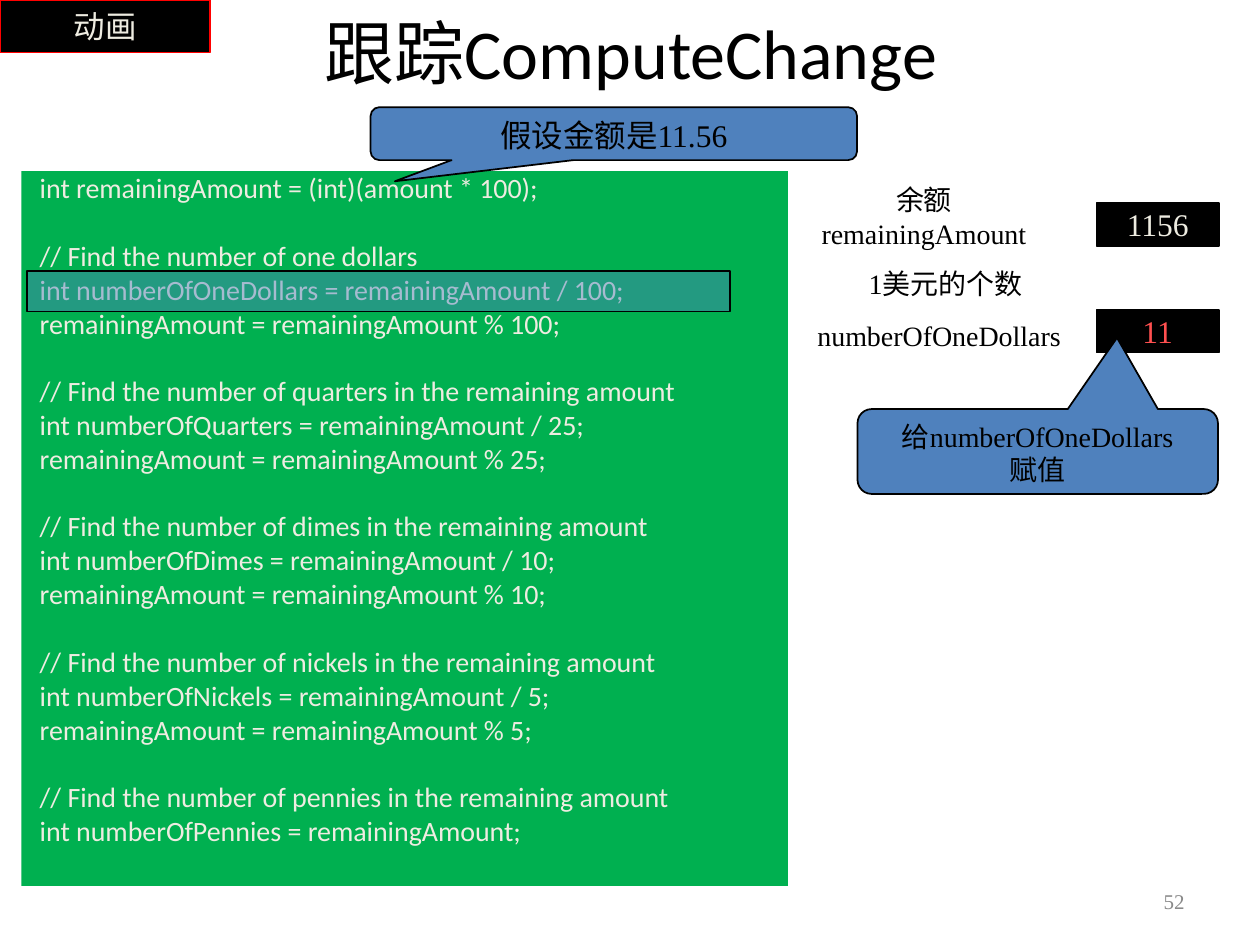
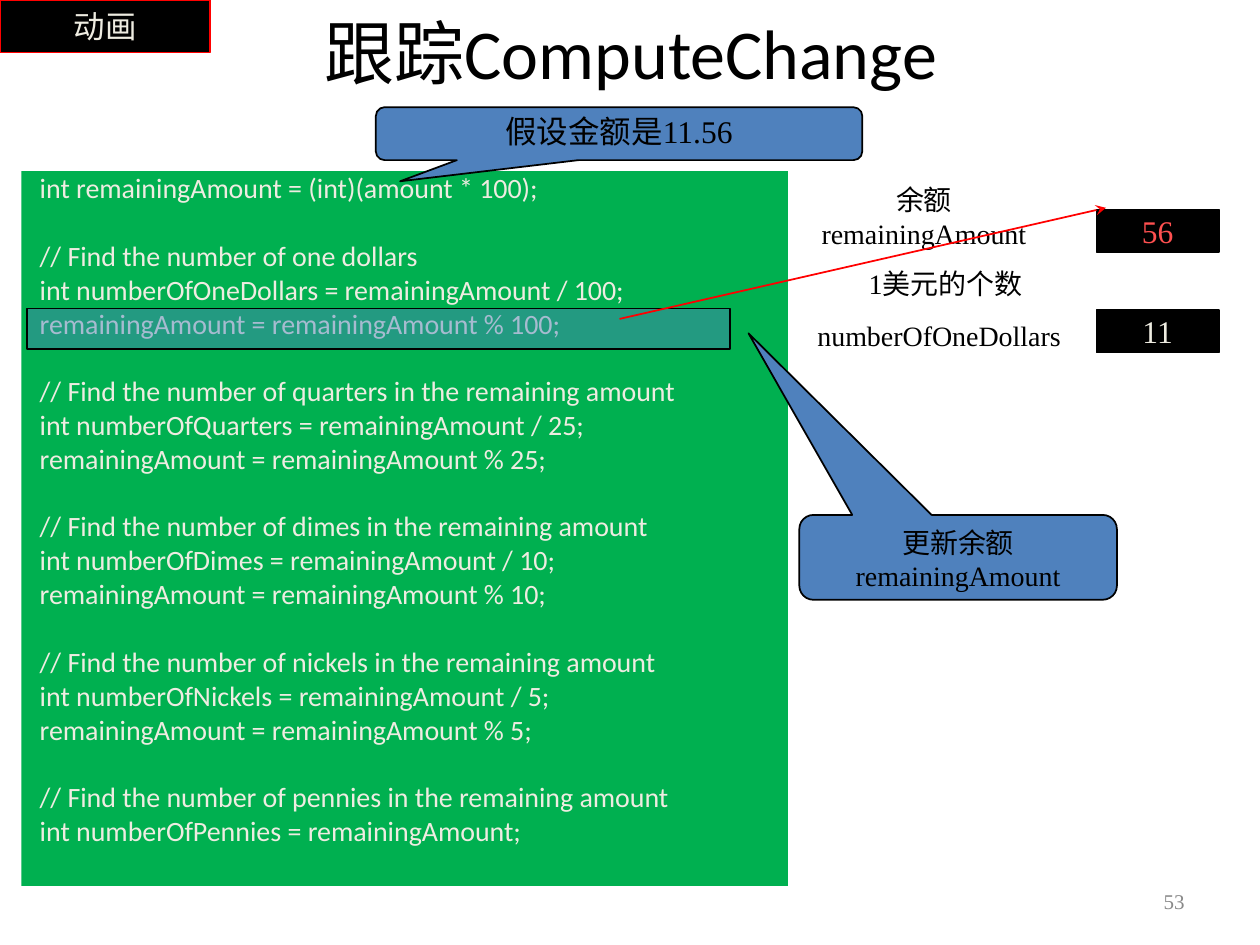
import pptx
import pptx.util
import pptx.dml.color
import pptx.enum.shapes
import pptx.enum.text
import pptx.oxml.ns
import lxml.etree

Pt = pptx.util.Pt
RGBColor = pptx.dml.color.RGBColor
Shapes = pptx.enum.shapes.MSO_SHAPE
Align = pptx.enum.text.PP_ALIGN
Anchor = pptx.enum.text.MSO_ANCHOR
qn = pptx.oxml.ns.qn

BLACK = RGBColor(0x00, 0x00, 0x00)
CREAM = RGBColor(0xEE, 0xEC, 0xE1)
GREEN = RGBColor(0x00, 0xB0, 0x50)
BLUE = RGBColor(0x4F, 0x81, 0xBD)
RED = RGBColor(0xFF, 0x00, 0x00)
CHANGED = RGBColor(0xFF, 0x50, 0x50)
GREY = RGBColor(0x89, 0x89, 0x89)

SANS, SERIF = "Calibri", "Times New Roman"

TITLE_BOX = (54.5, 13, 612, 33)
BANNER_BOX = (0, 0, 120, 30)
CODE_BOX = (12.25, 97.75, 438, 408.5)
VARIABLES_BOX = (460, 101, 237, 104)
NUMBER_BOX = (516, 500.5, 168, 29)

CODE_GROUPS = [
    ["int remainingAmount = (int)(amount * 100);"],
    ["// Find the number of one dollars",
     "int numberOfOneDollars = remainingAmount / 100;",
     "remainingAmount = remainingAmount % 100;"],
    ["// Find the number of quarters in the remaining amount",
     "int numberOfQuarters = remainingAmount / 25;",
     "remainingAmount = remainingAmount % 25;"],
    ["// Find the number of dimes in the remaining amount",
     "int numberOfDimes = remainingAmount / 10;",
     "remainingAmount = remainingAmount % 10;"],
    ["// Find the number of nickels in the remaining amount",
     "int numberOfNickels = remainingAmount / 5;",
     "remainingAmount = remainingAmount % 5;"],
    ["// Find the number of pennies in the remaining amount",
     "int numberOfPennies = remainingAmount;"],
]
LINE_GAP, GROUP_GAP = 4, 23.25


def write_text(shape, *lines, size=16, font=SERIF, color=BLACK, align=Align.CENTER,
               anchor=Anchor.TOP, insets=(7.2, 3.6), wrap=True, before=0, spacing=1.0):
    """Fill a shape with one paragraph per line; insets are (sides, top and bottom)."""
    frame = shape.text_frame
    frame.word_wrap = wrap
    frame.vertical_anchor = anchor
    frame.margin_left = frame.margin_right = Pt(insets[0])
    frame.margin_top = frame.margin_bottom = Pt(insets[1])
    for index, line in enumerate(lines):
        paragraph = frame.add_paragraph() if index else frame.paragraphs[0]
        paragraph.alignment = align
        paragraph.space_before = Pt(before)
        paragraph.line_spacing = spacing
        run = paragraph.add_run()
        run.text = line
        run.font.size = Pt(size)
        run.font.name = font
        run.font.color.rgb = color
    return frame.paragraphs


def add_text(slide, box, *lines, **text_format):
    return write_text(slide.shapes.add_textbox(*map(Pt, box)), *lines, **text_format)


def add_filled(slide, kind, box, fill, line=BLACK):
    shape = slide.shapes.add_shape(kind, *map(Pt, box))
    shape.shadow.inherit = False
    shape.fill.solid()
    shape.fill.fore_color.rgb = fill
    if line is None:
        shape.line.fill.background()
    else:
        shape.line.color.rgb = line
        shape.line.width = Pt(1)
    return shape


def add_callout(slide, box, tip, *lines, **text_format):
    """Draw a speech bubble; tip is its offset from the centre, in widths and heights."""
    shape = add_filled(slide, Shapes.ROUNDED_RECTANGULAR_CALLOUT, box, BLUE)
    shape.adjustments[0], shape.adjustments[1] = tip
    write_text(shape, *lines, **text_format)


def add_arrow(slide, start, end):
    arrow = slide.shapes.add_connector(
        pptx.enum.shapes.MSO_CONNECTOR.STRAIGHT, *map(Pt, start + end))
    arrow.line.color.rgb = RED
    arrow.line.width = Pt(1)
    lxml.etree.SubElement(arrow.line._get_or_add_ln(), qn("a:tailEnd"), type="stealth")
    lxml.etree.SubElement(arrow._element.spPr, qn("a:effectLst"))


def add_code(slide, box):
    panel = add_filled(slide, Shapes.RECTANGLE, box, GREEN, line=None)
    lines = [line for group in CODE_GROUPS for line in group]
    paragraphs = write_text(panel, *lines, font=SANS, color=CREAM, align=Align.LEFT,
                            insets=(10.5, 3.6), before=LINE_GAP, spacing=0.8)
    group_start = 0
    for group in CODE_GROUPS[:-1]:
        group_start += len(group)
        paragraphs[group_start].space_before = Pt(GROUP_GAP)


def add_highlight(slide, box, offset):
    """Lay a see-through bar over the code line that lies offset below the box top."""
    left, top = box[:2]
    bar = add_filled(slide, Shapes.RECTANGLE, (left + 3, top + offset, 402, 23), BLUE)
    color = bar.fill._xPr.find(qn("a:solidFill"))[0]
    lxml.etree.SubElement(color, qn("a:alpha"), val="45000")


def add_variables(slide, box, values):
    """Show both variables; values holds (text, colour, offset from the box top)."""
    left, top, width, height = box
    add_text(slide, (left, top, 136, 46), "余额remainingAmount", before=10)
    labels = add_text(slide, (left, top + 48, 160.5, 55.5),
                      "1美元的个数", "numberOfOneDollars", before=10)
    labels[1].alignment = Align.LEFT
    for text, color, offset in values:
        value_box = (left + width - 70.5, top + offset, 70, 24.5)
        cell = add_filled(slide, Shapes.RECTANGLE, value_box, BLACK)
        write_text(cell, text, size=18, color=color, anchor=Anchor.MIDDLE,
                   insets=(0.7, 0.7), wrap=False)


def add_trace_slide(presentation, number, highlight, values, amount_left,
                    amount_spacing, note, arrow=None):
    slide = presentation.slides.add_slide(presentation.slide_layouts[6])
    add_text(slide, TITLE_BOX, "跟踪ComputeChange", size=40, font=SANS,
             anchor=Anchor.MIDDLE)
    add_code(slide, CODE_BOX)
    add_text(slide, NUMBER_BOX, str(number), size=12, color=GREY, align=Align.RIGHT,
             anchor=Anchor.MIDDLE)
    add_callout(slide, (amount_left, 61.25, 278, 30.25), (-0.45, 0.9),
                "假设金额是11.56", size=18, spacing=amount_spacing)
    add_highlight(slide, CODE_BOX, highlight)
    add_variables(slide, VARIABLES_BOX, values)
    add_callout(slide, *note)
    if arrow:
        add_arrow(slide, *arrow)
    banner = add_filled(slide, Shapes.RECTANGLE, BANNER_BOX, BLACK, line=RED)
    write_text(banner, "动画", size=18, font=SANS, color=CREAM,
               anchor=Anchor.MIDDLE, wrap=False)


def main():
    presentation = pptx.Presentation()
    presentation.slide_width, presentation.slide_height = Pt(720), Pt(540)
    add_trace_slide(
        presentation, 52, highlight=57.25,
        values=[("1156", CREAM, 15), ("11", CHANGED, 76)],
        amount_left=211.75, amount_spacing=1.0,
        note=((490, 233.75, 206, 48.5), (0.22, -1.34), "给numberOfOneDollars", "赋值"))
    add_trace_slide(
        presentation, 53, highlight=78.5,
        values=[("56", CHANGED, 18.75), ("11", CREAM, 76)],
        amount_left=214.75, amount_spacing=0.9,
        note=((456.75, 294.25, 181.5, 48.5), (-0.66, -2.64),
              "更新余额", "remainingAmount"),
        arrow=((354, 182.25), (632, 118.75)))
    presentation.save("out.pptx")


if __name__ == "__main__":
    main()
